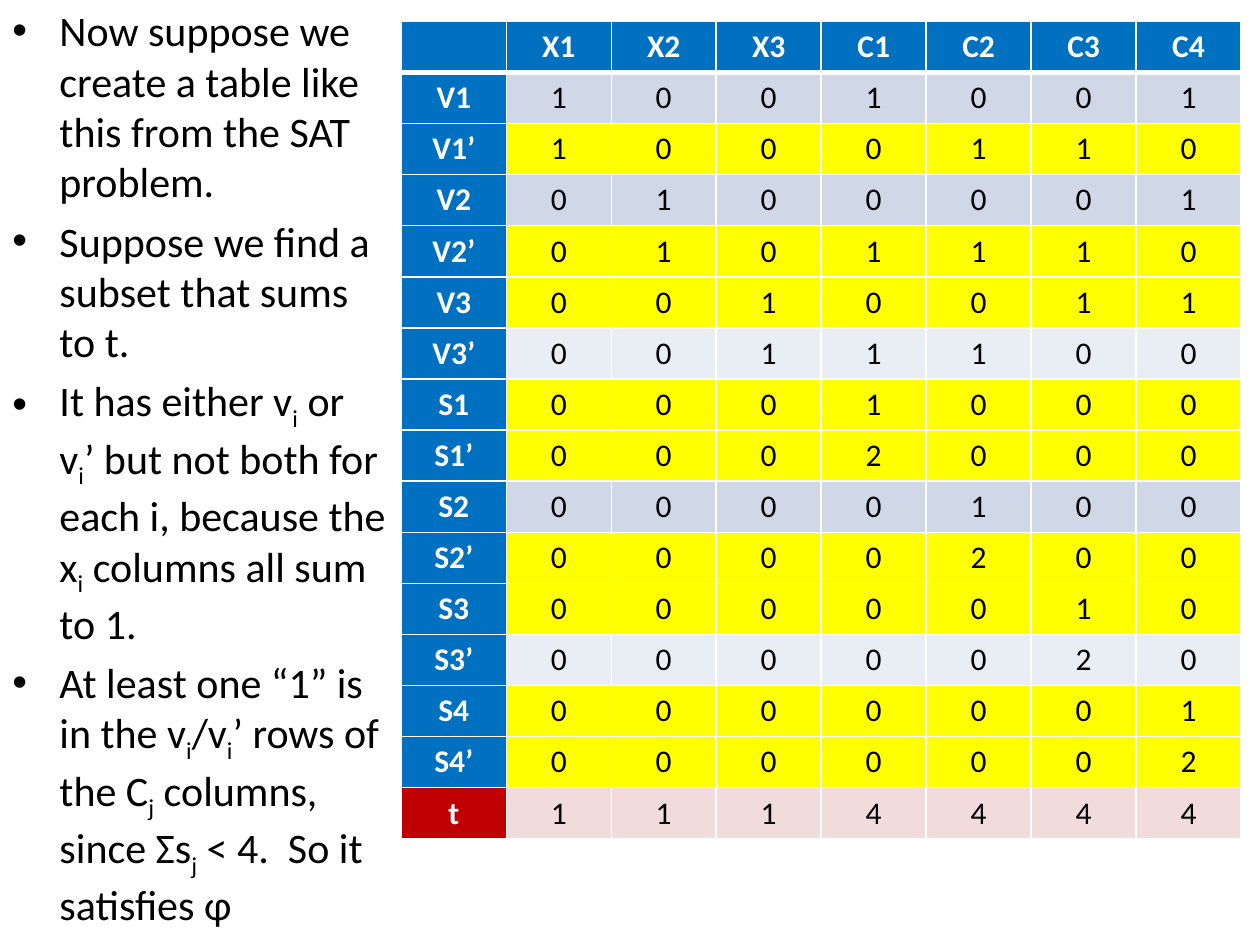
from lxml.etree import SubElement
from pptx import Presentation
from pptx.dml.color import RGBColor
from pptx.enum.text import PP_ALIGN
from pptx.oxml.ns import qn
from pptx.util import Cm, Pt

WHITE = RGBColor(0xFF, 0xFF, 0xFF)
BLACK = RGBColor(0x00, 0x00, 0x00)
BLUE = RGBColor(0x00, 0x70, 0xC0)
RED = RGBColor(0xC0, 0x00, 0x00)
YELLOW = RGBColor(0xFF, 0xFF, 0x00)
PINK = RGBColor(0xF2, 0xDC, 0xDB)
BANDS = (RGBColor(0xE9, 0xED, 0xF4), RGBColor(0xD0, 0xD8, 0xE8))

BODY_FONT = {"name": "Calibri", "size": Pt(24)}
HEADING_FONT = {"name": "Calibri", "size": Pt(18), "bold": True}
DIGIT_FONT = {"name": "Calibri", "size": Pt(18), "bold": False}

SUBSCRIPT_MARK = "|"
BULLETS = (
    "Now suppose we create a table like this from the SAT problem.",
    "Suppose we find a subset that sums to t.",
    "It has either v|i| or v|i|’ but not both for each i, because the x|i| columns all sum to 1.",
    "At least one “1” is in the v|i|/v|i|’ rows of the C|j| columns, since Σs|j| < 4.  So it satisfies φ",
)

COLUMN_NAMES = ("", "X1", "X2", "X3", "C1", "C2", "C3", "C4")
ROWS = (
    ("V1", "1001001"),
    ("V1’", "1000110"),
    ("V2", "0100001"),
    ("V2’", "0101110"),
    ("V3", "0010011"),
    ("V3’", "0011100"),
    ("S1", "0001000"),
    ("S1’", "0002000"),
    ("S2", "0000100"),
    ("S2’", "0000200"),
    ("S3", "0000010"),
    ("S3’", "0000020"),
    ("S4", "0000001"),
    ("S4’", "0000002"),
    ("t", "1114444"),
)
CHOSEN = {"V1’", "V2’", "V3", "S1", "S1’", "S2’", "S3", "S4", "S4’"}


def format_font(font, values, color):
    for name, value in values.items():
        setattr(font, name, value)
    font.color.rgb = color


def add_bullet(paragraph, indent):
    properties = paragraph._p.get_or_add_pPr()
    properties.set("marL", str(indent))
    properties.set("indent", str(-indent))
    SubElement(properties, qn("a:buFont"), typeface="Arial")
    SubElement(properties, qn("a:buChar"), char="•")


def add_explanation(slide, left, top, width, height):
    text_frame = slide.shapes.add_textbox(left, top, width, height).text_frame
    text_frame.word_wrap = True
    for index, text in enumerate(BULLETS):
        paragraph = text_frame.add_paragraph() if index else text_frame.paragraphs[0]
        add_bullet(paragraph, Cm(0.95))
        if index:
            paragraph.space_before = Pt(5)
        for position, part in enumerate(text.split(SUBSCRIPT_MARK)):
            run = paragraph.add_run()
            run.text = part
            format_font(run.font, BODY_FONT, BLACK)
            if position % 2:
                run._r.get_or_add_rPr().set("baseline", "-25000")


def add_borders(cell, row_index):
    properties = cell._tc.get_or_add_tcPr()
    thick_side = {0: "lnB", 1: "lnT"}.get(row_index)
    for side in ("lnL", "lnR", "lnT", "lnB"):
        width = Pt(3 if side == thick_side else 1)
        line = SubElement(properties, qn(f"a:{side}"), w=str(width))
        fill = SubElement(line, qn("a:solidFill"))
        SubElement(fill, qn("a:srgbClr"), val=str(WHITE))


def row_colors(row_index, name):
    if name == "t":
        return RED, PINK
    if row_index == 0:
        return BLUE, BLUE
    return BLUE, YELLOW if name in CHOSEN else BANDS[row_index % 2]


def add_subset_table(slide, left, top, width, height):
    rows = [COLUMN_NAMES] + [(name, *digits) for name, digits in ROWS]
    frame = slide.shapes.add_table(len(rows), len(COLUMN_NAMES), left, top, width, height)
    table = frame.table
    table.first_col = True
    table.horz_banding = False
    for row_index, values in enumerate(rows):
        heading_fill, digit_fill = row_colors(row_index, values[0])
        for column_index, value in enumerate(values):
            cell = table.cell(row_index, column_index)
            add_borders(cell, row_index)
            cell.fill.solid()
            cell.fill.fore_color.rgb = digit_fill if column_index else heading_fill
            cell.text = value
            paragraph = cell.text_frame.paragraphs[0]
            paragraph.alignment = PP_ALIGN.CENTER
            is_heading = row_index == 0 or column_index == 0
            format_font(
                paragraph.font if not value else paragraph.runs[0].font,
                HEADING_FONT if is_heading else DIGIT_FONT,
                WHITE if is_heading else BLACK,
            )


def main():
    presentation = Presentation()
    presentation.slide_width = Cm(25.4)
    presentation.slide_height = Cm(19.05)
    slide = presentation.slides.add_slide(presentation.slide_layouts[6])
    add_explanation(slide, Cm(0), Cm(-0.03), Cm(8.06), Cm(19.08))
    add_subset_table(slide, Cm(8.09), Cm(0.43), Cm(16.93), Cm(16.48))
    presentation.save("out.pptx")


if __name__ == "__main__":
    main()
